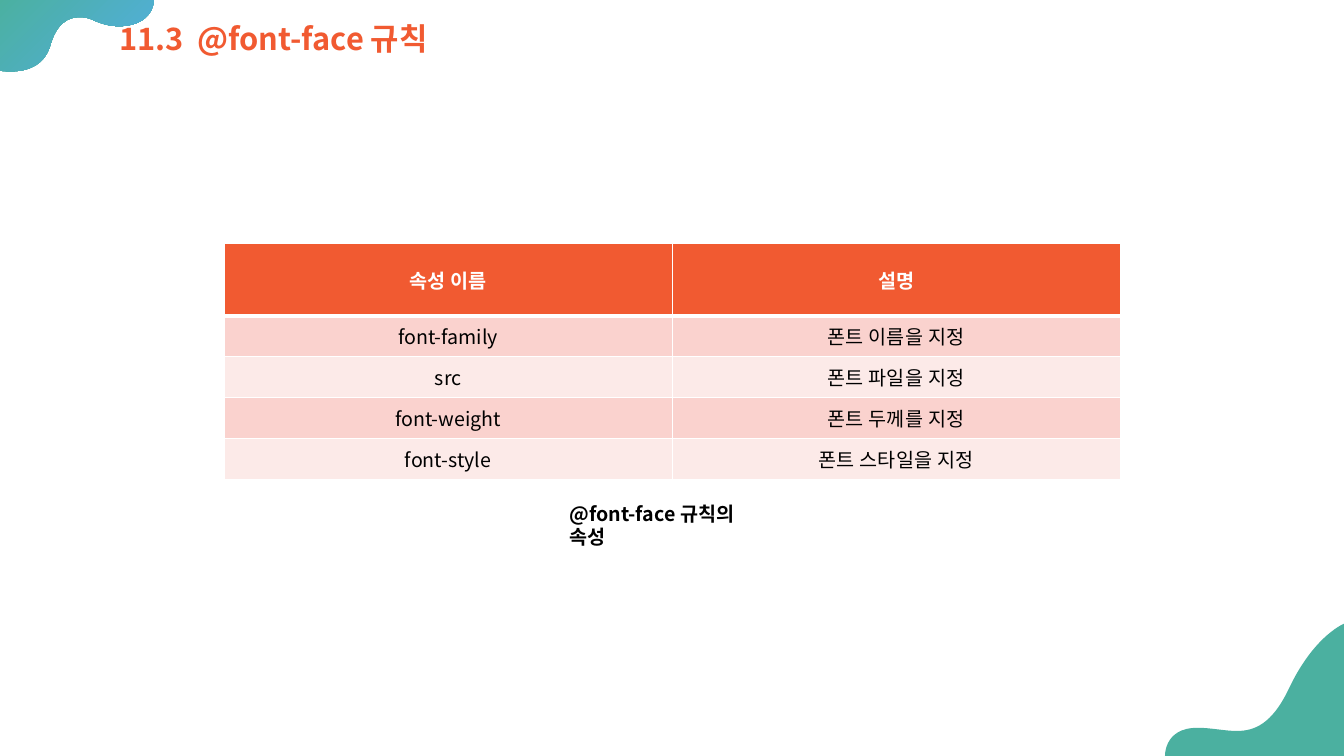
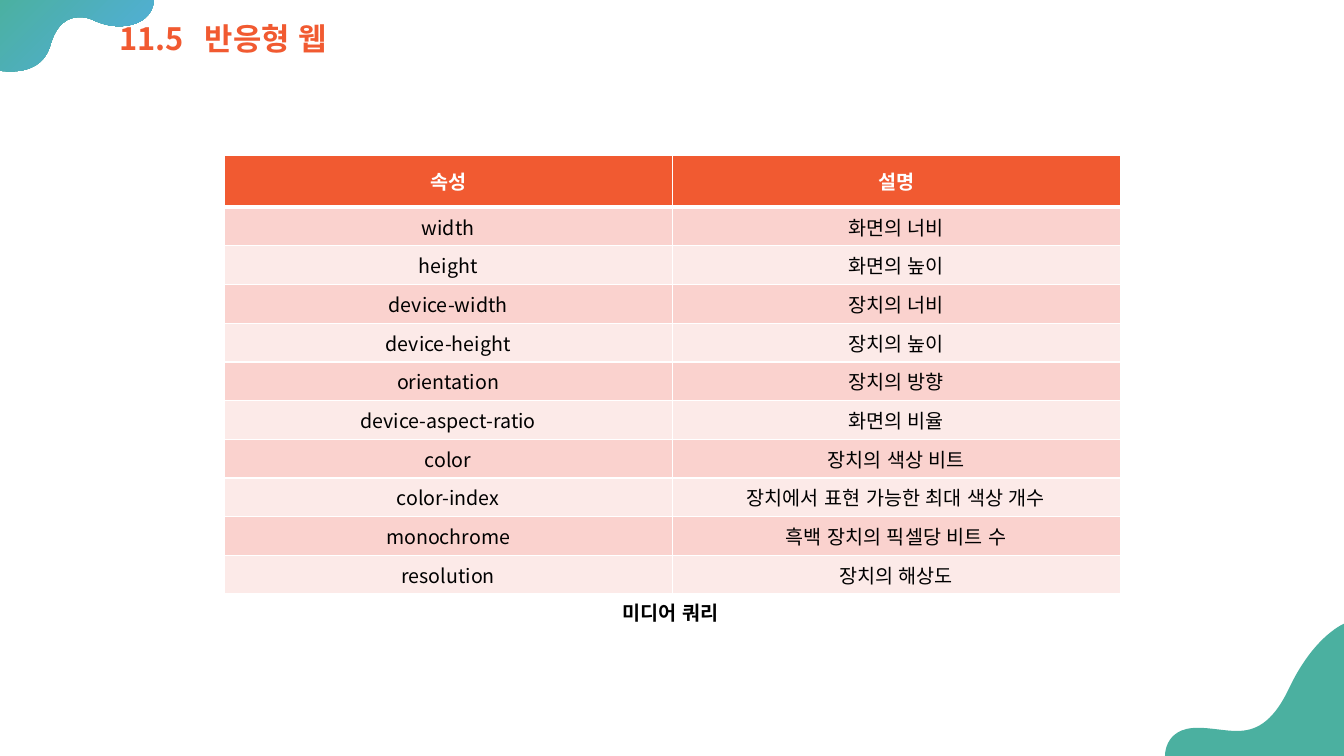
"""Build two slides with property tables for font-face rules and media queries."""
from itertools import chain
from lxml.etree import SubElement
from pptx import Presentation
from pptx.dml.color import RGBColor
from pptx.enum.lang import MSO_LANGUAGE_ID as Language
from pptx.enum.text import MSO_ANCHOR as Anchor, MSO_AUTO_SIZE as AutoSize, PP_ALIGN as Align
from pptx.oxml import parse_xml
from pptx.oxml.ns import nsdecls, qn
from pptx.util import Cm, Pt

FONT = "Noto Sans CJK KR"
ORANGE = RGBColor(0xF1, 0x5A, 0x31)
PINK = RGBColor(0xFA, 0xD2, 0xCE)
PALE = RGBColor(0xFC, 0xEA, 0xE8)
TEAL = RGBColor(0x4B, 0xB0, 0xA0)
BLUE = RGBColor(0x52, 0xAE, 0xE1)
WHITE = RGBColor(0xFF, 0xFF, 0xFF)
BLACK = RGBColor(0, 0, 0)

TITLE_BOX = (2.75, 0.48, 31.12, 1.09)
TABLE_LEFT, COLUMN_WIDTH = 5.65, 11.29
CAPTION_HEIGHT = 0.86

SLIDES = [
    {
        "title": "11.3\t@font-face 규칙", "tab": 1.98,
        "top": 6.13, "header_height": 1.83, "row_height": 1.03,
        "rows": [
            ("속성 이름", "설명"),
            ("font-family", "폰트 이름을 지정"),
            ("src", "폰트 파일을 지정"),
            ("font-weight", "폰트 두께를 지정"),
            ("font-style", "폰트 스타일을 지정"),
        ],
        "caption": ("@font-face 규칙의 속성", 14.1, 12.52, 5.69),
    },
    {
        "title": "11.5\t반응형 웹", "tab": 2.16,
        "top": 3.92, "header_height": 1.3, "row_height": 0.93,
        "rows": [
            ("속성", "설명"),
            ("width", "화면의 너비"),
            ("height", "화면의 높이"),
            ("device-width", "장치의 너비"),
            ("device-height", "장치의 높이"),
            ("orientation", "장치의 방향"),
            ("device-aspect-ratio", "화면의 비율"),
            ("color", "장치의 색상 비트"),
            ("color-index", "장치에서 표현 가능한 최대 색상 개수"),
            ("monochrome", "흑백 장치의 픽셀당 비트 수"),
            ("resolution", "장치의 해상도"),
        ],
        "caption": ("미디어 쿼리", 15.44, 15.01, 3.0),
    },
]

TOP_WAVE = [
    [(3.88, -0.05)], [(-0.02, -0.05)], [(-0.02, 1.78)],
    [(-0.02, 1.78), (0.1, 1.8), (0.28, 1.8)],
    [(0.61, 1.8), (1.09, 1.7), (1.26, 1.17)],
    [(1.42, 0.58), (1.73, 0.43), (2.01, 0.43)],
    [(2.13, 0.43), (2.26, 0.46), (2.36, 0.51)],
    [(2.57, 0.61), (2.79, 0.66), (3.0, 0.66)],
    [(3.48, 0.66), (3.88, 0.43), (3.88, -0.05)],
]
BOTTOM_WAVE = [
    [(33.91, 15.7)],
    [(33.91, 15.7), (33.12, 15.98), (32.46, 17.4)],
    [(32.05, 18.24), (31.62, 18.42), (31.17, 18.42)],
    [(30.86, 18.42), (30.53, 18.34), (30.18, 18.34)],
    [(29.31, 18.34), (29.36, 19.08), (29.36, 19.08)],
    [(33.91, 19.08)],
]


def write(tf, text, size=14, color=BLACK, bold=False, align=Align.LEFT, spacing=None, tab=None):
    p = tf.paragraphs[0]
    p.alignment = align
    if spacing:
        p.line_spacing = spacing
    if tab:
        tabs = SubElement(p._p.get_or_add_pPr(), qn("a:tabLst"))
        SubElement(tabs, qn("a:tab"), pos=str(Cm(tab)), algn="l")
    r = p.add_run()
    r.text = text
    r.font.size, r.font.bold, r.font.name = Pt(size), bold, FONT
    r.font.language_id = Language.KOREAN
    r.font.color.rgb = color
    SubElement(r._r.get_or_add_rPr(), qn("a:ea"), typeface=FONT)


def curve_segments(sp, segments):
    lines = list(sp.element.iter(qn("a:lnTo")))
    for segment in segments[1:]:
        used, lines = lines[:len(segment)], lines[len(segment):]
        if len(segment) == 3:
            curve = parse_xml(f'<a:cubicBezTo {nsdecls("a")}/>')
            used[0].addprevious(curve)
            for line in used:
                curve.append(line[0])
                line.getparent().remove(line)


def add_wave(layout, s, segments, position, end_color=None):
    start, *points = [(Cm(x), Cm(y)) for x, y in chain.from_iterable(segments)]
    builder = s.shapes.build_freeform(*start)
    builder.add_line_segments(points, close=True)
    sp = builder.convert_to_shape()
    curve_segments(sp, segments)
    sp.shadow.inherit = False
    sp.line.fill.background()
    if end_color:
        sp.fill.gradient()
        sp.fill.gradient_angle = 315
        for stop, color in zip(sp.fill.gradient_stops, (TEAL, end_color)):
            stop.color.rgb = color
    else:
        sp.fill.solid()
        sp.fill.fore_color.rgb = TEAL
    sp.element.nvSpPr.cNvPr.set("id", str(100 + position))
    layout.shapes.element.insert(2 + position, sp.element)


def set_borders(cell, top=1, bottom=1):
    tc_pr = cell._tc.get_or_add_tcPr()
    sides = (("L", 1), ("R", 1), ("T", top), ("B", bottom))
    for i, (side, width) in enumerate(sides):
        tc_pr.insert(i, parse_xml(
            f'<a:ln{side} {nsdecls("a")} w="{Pt(width)}"><a:solidFill>'
            f'<a:srgbClr val="{WHITE}"/></a:solidFill></a:ln{side}>'))


def add_property_table(s, rows, top, header_height, row_height):
    heights = [header_height] + [row_height] * (len(rows) - 1)
    columns = len(rows[0])
    table = s.shapes.add_table(len(rows), columns, Cm(TABLE_LEFT), Cm(top),
                               Cm(COLUMN_WIDTH * columns), Cm(sum(heights))).table
    for column in table.columns:
        column.width = Cm(COLUMN_WIDTH)
    for i, (values, height) in enumerate(zip(rows, heights)):
        table.rows[i].height = Cm(height)
        header = i == 0
        for j, value in enumerate(values):
            cell = table.cell(i, j)
            cell.vertical_anchor = Anchor.MIDDLE
            cell.fill.solid()
            cell.fill.fore_color.rgb = ORANGE if header else (PALE, PINK)[i % 2]
            set_borders(cell, top=3 if i == 1 else 1, bottom=3 if header else 1)
            write(cell.text_frame, value, color=WHITE if header else BLACK,
                  bold=header, align=Align.CENTER)


def add_caption(s, text, left, top, width):
    tf = s.shapes.add_textbox(Cm(left), Cm(top), Cm(width), Cm(CAPTION_HEIGHT)).text_frame
    tf.word_wrap = True
    write(tf, text, bold=True)


def build_slide(prs, layout, content):
    s = prs.slides.add_slide(layout)
    title = s.shapes.title
    title.left, title.top, title.width, title.height = map(Cm, TITLE_BOX)
    tf = title.text_frame
    tf.auto_size, tf.vertical_anchor = AutoSize.NONE, Anchor.MIDDLE
    write(tf, content["title"], size=22, color=ORANGE, bold=True, spacing=0.9, tab=content["tab"])
    add_property_table(s, content["rows"], content["top"],
                       content["header_height"], content["row_height"])
    add_caption(s, *content["caption"])
    return s


def main():
    prs = Presentation()
    prs.slide_width, prs.slide_height = Cm(33.87), Cm(19.05)
    layout = prs.slide_layouts[5]
    slides = [build_slide(prs, layout, content) for content in SLIDES]
    add_wave(layout, slides[0], TOP_WAVE, 0, end_color=BLUE)
    add_wave(layout, slides[0], BOTTOM_WAVE, 1)
    prs.save("out.pptx")


if __name__ == "__main__":
    main()
